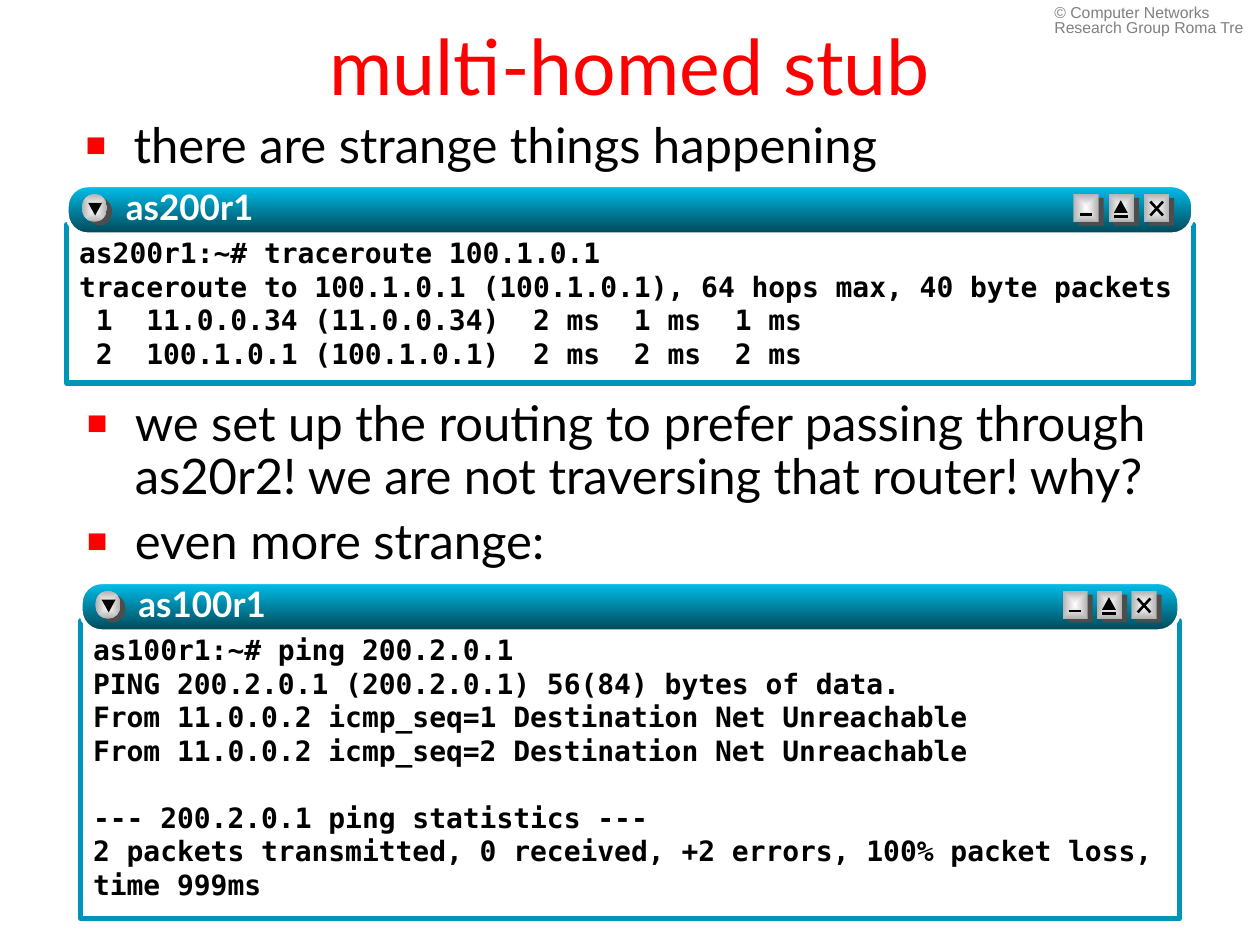
from lxml import etree
from pptx import Presentation
from pptx.dml.color import RGBColor
from pptx.enum.shapes import MSO_CONNECTOR, MSO_SHAPE
from pptx.enum.text import MSO_ANCHOR, MSO_AUTO_SIZE, PP_ALIGN
from pptx.oxml.ns import qn
from pptx.util import Emu, Inches, Pt

RECT, OVAL = MSO_SHAPE.RECTANGLE, MSO_SHAPE.OVAL
ROUNDED, TRIANGLE = MSO_SHAPE.ROUNDED_RECTANGLE, MSO_SHAPE.ISOSCELES_TRIANGLE
STRAIGHT = MSO_CONNECTOR.STRAIGHT
TOP, MIDDLE = MSO_ANCHOR.TOP, MSO_ANCHOR.MIDDLE
LEFT, CENTER = PP_ALIGN.LEFT, PP_ALIGN.CENTER
NO_FIT = MSO_AUTO_SIZE.NONE

COLORS = {
    "red": "FF0000", "black": "000000", "white": "FFFFFF", "gray": "808080",
    "frame": "0095B8", "bar_top": "00C1EE", "bar_bottom": "004656",
    "shade": "4D4D4D", "button_edge": "B2B2B2",
}
SANS, MONO, SMALL = "Lato", "DejaVu Sans Mono", "Arial"

FULL_WIDTH = 8.94
BAR_HEIGHT = 0.39
FRAME_DROP = 0.31
BUTTON = 0.2
BUTTON_HEIGHT = 0.22
BUTTON_PITCH = 0.28
FIRST_BUTTON = 7.99
GLYPH = 0.11

TRACEROUTE = [
    "as200r1:~# traceroute 100.1.0.1",
    "traceroute to 100.1.0.1 (100.1.0.1), 64 hops max, 40 byte packets",
    " 1  11.0.0.34 (11.0.0.34)  2 ms  1 ms  1 ms",
    " 2  100.1.0.1 (100.1.0.1)  2 ms  2 ms  2 ms",
]
PING = [
    "as100r1:~# ping 200.2.0.1",
    "PING 200.2.0.1 (200.2.0.1) 56(84) bytes of data.",
    "From 11.0.0.2 icmp_seq=1 Destination Net Unreachable",
    "From 11.0.0.2 icmp_seq=2 Destination Net Unreachable",
    "--- 200.2.0.1 ping statistics ---",
    "2 packets transmitted, 0 received, +2 errors, 100% packet loss,",
    "time 999ms",
]


def rgb(name):
    return RGBColor.from_string(COLORS[name])


def style(font, face, size, color, bold=False):
    font.name, font.size, font.bold = face, Pt(size), bold
    font.color.rgb = rgb(color)


def add_node(parent, tag, **attributes):
    return etree.SubElement(parent, qn(tag), **attributes)


def place(holder, left, top, width, height):
    holder.left, holder.top = Inches(left), Inches(top)
    holder.width, holder.height = Inches(width), Inches(height)


def prepare(frame, margins=(0.1, 0.05, 0.1, 0.05), anchor=TOP):
    frame.word_wrap, frame.auto_size, frame.vertical_anchor = True, NO_FIT, anchor
    frame.margin_left, frame.margin_top, frame.margin_right, frame.margin_bottom = map(Inches, margins)


def fill_lines(frame, lines):
    frame.text = lines[0]
    for line in lines[1:]:
        frame.add_paragraph().text = line
    return frame.paragraphs


def add_bullets(holder, box, items):
    place(holder, *box)
    prepare(holder.text_frame)
    for number, paragraph in enumerate(fill_lines(holder.text_frame, items)):
        paragraph.line_spacing = 0.9
        paragraph.space_before = Pt(7 if number else 0)
        props = paragraph._p.get_or_add_pPr()
        props.set("marL", str(Inches(0.38)))
        props.set("indent", str(-Inches(0.38)))
        add_node(add_node(props, "a:buClr"), "a:srgbClr", val=COLORS["red"])
        add_node(props, "a:buSzPct", val="70000")
        add_node(props, "a:buFont", typeface=SMALL)
        add_node(props, "a:buChar", char="■")
        style(paragraph.font, SANS, 28, "black")


def add_form(shapes, kind, box, fill, line=None, weight=0):
    form = shapes.add_shape(kind, *map(Inches, box))
    form.shadow.inherit = False
    if isinstance(fill, tuple):
        form.fill.gradient()
        form.fill.gradient_angle = 270
        for stop, color in zip(form.fill.gradient_stops, fill):
            stop.color.rgb = rgb(color)
    else:
        form.fill.solid()
        form.fill.fore_color.rgb = rgb(fill)
    if line:
        form.line.color.rgb = rgb(line)
        form.line.width = Pt(weight)
    else:
        form.line.fill.background()
    return form


def add_stroke(shapes, *ends):
    stroke = shapes.add_connector(STRAIGHT, *map(Inches, ends))
    stroke.line.color.rgb = rgb("black")
    stroke.line.width = Pt(1.5)
    add_node(stroke._element.spPr, "a:effectLst")


def add_button(shapes, kind, left, top):
    add_form(shapes, kind, (left + 0.04, top + 0.03, BUTTON, BUTTON_HEIGHT), "shade")
    face = add_form(shapes, kind, (left, top, BUTTON, BUTTON_HEIGHT), ("white", "button_edge"))
    gradient = face._element.spPr.find(qn("a:gradFill"))
    gradient.remove(gradient.find(qn("a:lin")))
    radial = add_node(gradient, "a:path", path="rect")
    add_node(radial, "a:fillToRect", l="50000", t="50000", r="50000", b="50000")


def add_bar_name(shapes, name, box):
    label = shapes.add_textbox(*map(Inches, box))
    prepare(label.text_frame, (0, 0, 0, 0))
    run = label.text_frame.paragraphs[0].add_run()
    run.text = name
    style(run.font, SANS, 20, "white", True)
    effects = etree.Element(qn("a:effectLst"))
    shadow = add_node(effects, "a:outerShdw", dist=str(Emu(Pt(2))), dir="2700000")
    add_node(shadow, "a:srgbClr", val=COLORS["black"])
    run._r.rPr.find(qn("a:solidFill")).addnext(effects)


def add_terminal(slide, name, lines, left, top, width, height, gap_before=None):
    shapes = slide.shapes.add_group_shape().shapes
    scale = width / FULL_WIDTH

    screen = add_form(shapes, RECT, (left, top + FRAME_DROP, width, height), "white", "frame", 3)
    prepare(screen.text_frame, (0.1, 0.09, 0.1, 0.05))
    for number, paragraph in enumerate(fill_lines(screen.text_frame, lines)):
        paragraph.alignment = LEFT
        if number == gap_before:
            paragraph.space_before = Pt(19)
        style(paragraph.font, MONO, 16, "black", True)

    bar = add_form(shapes, ROUNDED, (left, top, width, BAR_HEIGHT),
                   ("bar_top", "bar_bottom"), "white", 2.25)
    bar.adjustments[0] = 0.43

    row = top + 0.07
    menu = left + 0.12 * scale
    add_button(shapes, OVAL, menu, row)
    arrow = add_form(shapes, TRIANGLE, (menu + 0.05, row + 0.07, GLYPH, 0.1), "black")
    arrow.rotation = 180

    minimize, maximize, close = (
        left + (FIRST_BUTTON + BUTTON_PITCH * column) * scale for column in range(3))
    for button in (minimize, maximize, close):
        add_button(shapes, RECT, button, row)
    add_stroke(shapes, minimize + 0.05, row + 0.16, minimize + 0.15, row + 0.16)
    add_stroke(shapes, maximize + 0.04, row + 0.18, maximize + 0.15, row + 0.18)
    add_form(shapes, TRIANGLE, (maximize + 0.04, row + 0.05, GLYPH, 0.1), "black")
    for start, end in ((0.17, 0.06), (0.06, 0.17)):
        add_stroke(shapes, close + 0.05, row + start, close + 0.15, row + end)

    add_bar_name(shapes, name, (left + 0.47 * scale, top, 2.6 * scale, BAR_HEIGHT))


def add_copyright(slide):
    notice = slide.shapes.add_textbox(*map(Inches, (8.27, 0, 1.73, 0.36)))
    prepare(notice.text_frame)
    paragraph = notice.text_frame.paragraphs[0]
    paragraph.text = "© Computer Networks Research Group Roma Tre"
    paragraph.line_spacing = 0.8
    style(paragraph.font, SMALL, 9, "gray")


def main():
    deck = Presentation()
    deck.slide_width, deck.slide_height = Inches(10), Inches(7.5)
    slide = deck.slides.add_slide(deck.slide_layouts[3])

    title = slide.shapes.title
    place(title, 0.5, 0.05, 9, 0.93)
    prepare(title.text_frame, anchor=MIDDLE)
    heading = title.text_frame.paragraphs[0]
    heading.text = "multi-homed stub"
    heading.alignment = CENTER
    style(heading.font, SANS, 44, "red")

    add_bullets(slide.placeholders[1], (0.58, 0.91, 9.08, 0.52),
                ["there are strange things happening"])
    add_bullets(slide.placeholders[2], (0.59, 3.12, 9.08, 1.88), [
        "we set up the routing to prefer passing through as20r2! "
        "we are not traversing that router! why?",
        "even more strange:",
    ])
    add_terminal(slide, "as200r1", TRACEROUTE, 0.53, 1.47, FULL_WIDTH, 1.26)
    add_terminal(slide, "as100r1", PING, 0.64, 4.62, 8.72, 2.36, gap_before=4)
    add_copyright(slide)
    deck.save("out.pptx")


if __name__ == "__main__":
    main()
